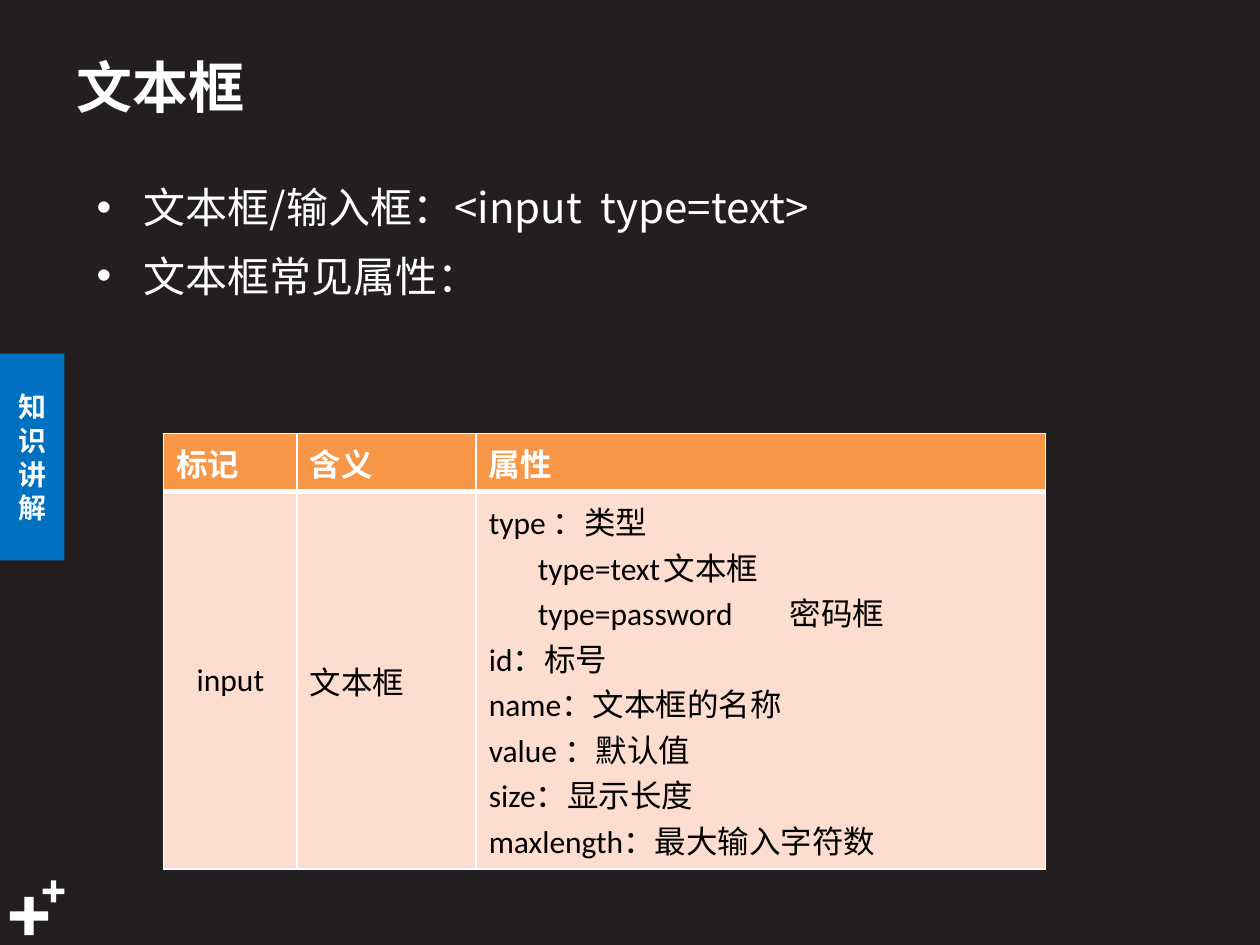
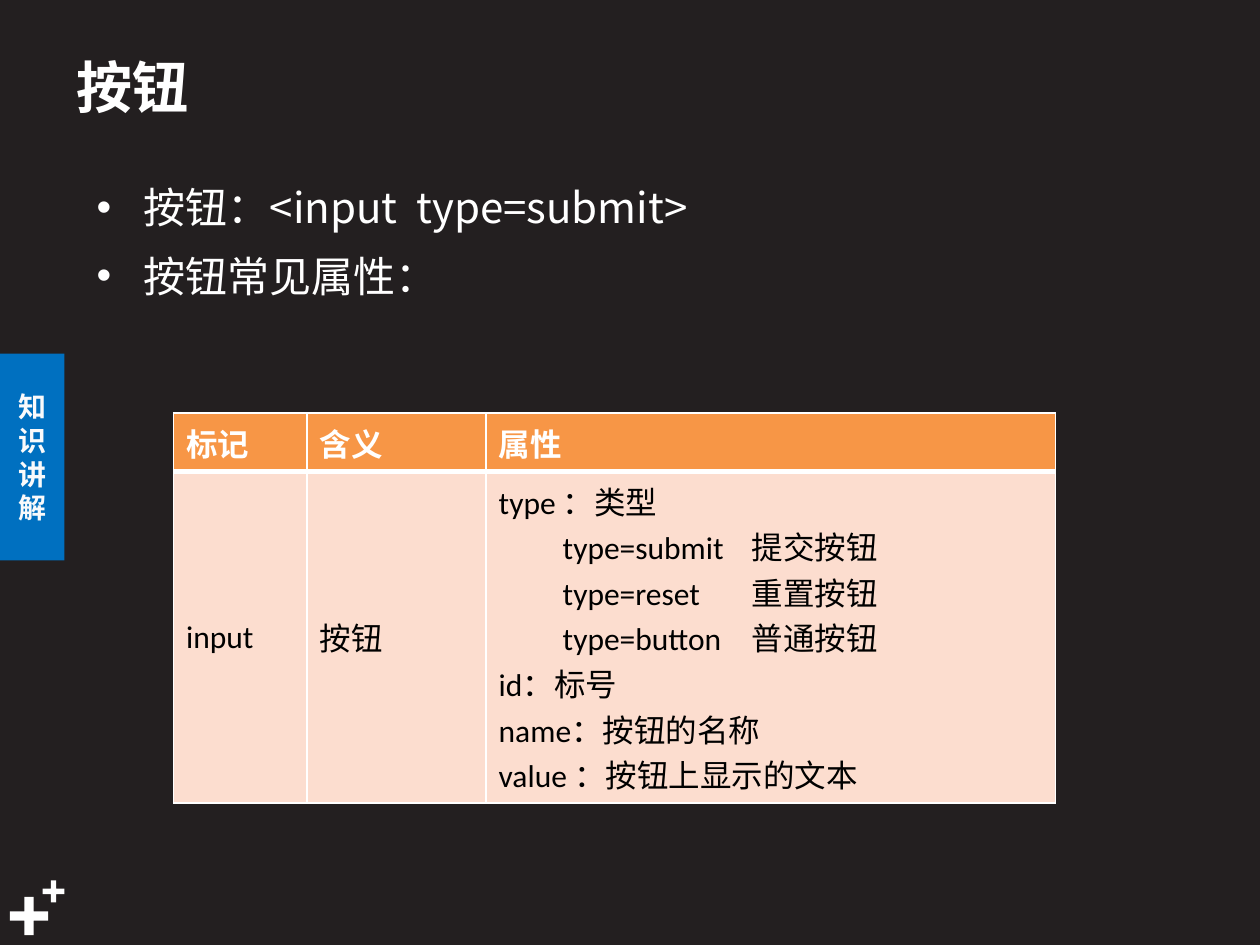
from dataclasses import dataclass

from lxml.etree import SubElement
from pptx import Presentation
from pptx.dml.color import RGBColor
from pptx.enum.shapes import MSO_SHAPE
from pptx.enum.text import MSO_ANCHOR, PP_ALIGN
from pptx.oxml.ns import qn
from pptx.util import Cm, Pt


@dataclass(frozen=True)
class Theme:
    background: str = "231F20"
    white: str = "FFFFFF"
    black: str = "000000"
    tab_fill: str = "0070C0"
    tab_text: str = "F9FAFB"
    header_fill: str = "F79646"
    cell_fill: str = "FCDDCF"
    font: str = "Noto Sans CJK SC"
    table_font: str = "Calibri"
    title_size: int = 32
    body_size: int = 24
    table_size: int = 18
    tab_size: int = 16


THEME = Theme()

SECTION = "知识讲解"
TABLE_HEADER = ["标记", "含义", "属性"]
# A value line is (code, label, tab position in cm); plain strings are attributes.
SLIDES = [
    {
        "title": "文本框",
        "bullets": ["文本框/输入框：<input  type=text>", "文本框常见属性："],
        "table_at": (3.3, 8.74),
        "tag_align": PP_ALIGN.CENTER,
        "meaning": "文本框",
        "value_indent": 0.99,
        "attributes": [
            "type ：类型",
            ("type=text", "文本框", 3.89),
            ("type=password", "密码框", 5.52),
            "id：标号",
            "name：文本框的名称",
            "value ：默认值",
            "size：显示长度",
            "maxlength：最大输入字符数",
        ],
    },
    {
        "title": "按钮",
        "bullets": ["按钮：<input  type=submit>", "按钮常见属性："],
        "table_at": (3.5, 8.33),
        "tag_align": PP_ALIGN.LEFT,
        "meaning": "按钮",
        "value_indent": 1.29,
        "attributes": [
            "type ：类型",
            ("type=submit", "提交按钮", 4.96),
            ("type=reset", "重置按钮", 4.33),
            ("type=button", "普通按钮", 4.8),
            "id：标号",
            "name：按钮的名称",
            "value ：按钮上显示的文本",
        ],
    },
]

PLUS_MARKS = [(0.2, 18.08, 0.77), (0.86, 17.75, 0.44)]  # left, top, size
COLUMN_WIDTHS = [2.69, 3.61, 11.48]
LINE_HEIGHT, CELL_PADDING = 0.92, 0.25
BULLET_INDENT = 0.95


def color(value):
    return RGBColor.from_string(value)


def style(paragraph, size, text_color, bold=False, font=THEME.font):
    paragraph.font.size = Pt(size)
    paragraph.font.bold = bold
    paragraph.font.color.rgb = color(text_color)
    paragraph.font.name = font
    defaults = paragraph._p.pPr.find(qn("a:defRPr"))
    SubElement(defaults, qn("a:ea"), typeface=THEME.font)


def set_indent(paragraph, left, first=0):
    properties = paragraph._p.get_or_add_pPr()
    properties.set("marL", str(Cm(left)))
    properties.set("indent", str(Cm(first)))
    return properties


def add_paragraphs(frame, count):
    return [frame.paragraphs[0]] + [frame.add_paragraph() for _ in range(count - 1)]


def add_filled_shape(slide, preset, box, fill):
    shape = slide.shapes.add_shape(preset, *map(Cm, box))
    shape.shadow.inherit = False
    shape.fill.solid()
    shape.fill.fore_color.rgb = color(fill)
    shape.line.fill.background()
    return shape


def add_frame(slide):
    """Draw what every slide shares: background, corner marks and section tab."""
    slide.background.fill.solid()
    slide.background.fill.fore_color.rgb = color(THEME.background)
    for left, top, size in PLUS_MARKS:
        mark = add_filled_shape(slide, MSO_SHAPE.CROSS, (left, top, size, size), THEME.white)
        mark.adjustments[0] = 0.378
    tab = add_filled_shape(slide, MSO_SHAPE.RECTANGLE, (0, 7.13, 1.3, 4.17), THEME.tab_fill)
    tab.text_frame.word_wrap = True
    tab.text_frame.vertical_anchor = MSO_ANCHOR.MIDDLE
    paragraph = tab.text_frame.paragraphs[0]
    paragraph.text = SECTION
    paragraph.alignment = PP_ALIGN.CENTER
    style(paragraph, THEME.tab_size, THEME.tab_text, bold=True)


def add_text_frame(slide, box):
    frame = slide.shapes.add_textbox(*map(Cm, box)).text_frame
    frame.word_wrap = True
    return frame


def add_title(slide, title):
    frame = add_text_frame(slide, (1.3, 0.74, 18.8, 1.98))
    frame.vertical_anchor = MSO_ANCHOR.MIDDLE
    frame.text = title
    style(frame.paragraphs[0], THEME.title_size, THEME.white, bold=True)


def add_bullets(slide, bullets):
    frame = add_text_frame(slide, (1.7, 3.33, 22.6, 2.92))
    for index, paragraph in enumerate(add_paragraphs(frame, len(bullets))):
        paragraph.text = bullets[index]
        paragraph.line_spacing = 1.2
        paragraph.space_before = Pt(4.8 if index else 0)
        properties = set_indent(paragraph, BULLET_INDENT, -BULLET_INDENT)
        SubElement(properties, qn("a:buFont"), typeface="Arial")
        SubElement(properties, qn("a:buChar"), char="•")
        style(paragraph, THEME.body_size, THEME.white)


def format_cell(cell, fill, bottom_width):
    properties = cell._tc.get_or_add_tcPr()
    for side in ("lnL", "lnR", "lnT", "lnB"):
        width = bottom_width if side == "lnB" else 1
        line = SubElement(properties, qn(f"a:{side}"), w=str(Pt(width)))
        SubElement(SubElement(line, qn("a:solidFill")), qn("a:srgbClr"), val=THEME.white)
    cell.fill.solid()
    cell.fill.fore_color.rgb = color(fill)


def write_attributes(frame, attributes, value_indent):
    for entry, paragraph in zip(attributes, add_paragraphs(frame, len(attributes))):
        if isinstance(entry, str):
            paragraph.text = entry
        else:
            code, label, tab_position = entry
            paragraph.text = f"{code}\t{label}"
            tabs = SubElement(set_indent(paragraph, value_indent), qn("a:tabLst"))
            SubElement(tabs, qn("a:tab"), pos=str(Cm(tab_position)), algn="l")


def add_attribute_table(slide, content):
    attributes = content["attributes"]
    heights = [lines * LINE_HEIGHT + CELL_PADDING for lines in (1, len(attributes))]
    box = (*content["table_at"], sum(COLUMN_WIDTHS), sum(heights))
    table = slide.shapes.add_table(2, len(COLUMN_WIDTHS), *map(Cm, box)).table
    for column, width in zip(table.columns, COLUMN_WIDTHS):
        column.width = Cm(width)
    for row, height in zip(table.rows, heights):
        row.height = Cm(height)

    for index, heading in enumerate(TABLE_HEADER):
        table.cell(0, index).text = heading
    tag, meaning, details = table.rows[1].cells
    tag.text = "input"
    tag.text_frame.paragraphs[0].alignment = content["tag_align"]
    meaning.text = content["meaning"]
    tag.vertical_anchor = meaning.vertical_anchor = MSO_ANCHOR.MIDDLE
    write_attributes(details.text_frame, attributes, content["value_indent"])

    row_styles = [(THEME.header_fill, THEME.white, True, 3), (THEME.cell_fill, THEME.black, False, 1)]
    for row, (fill, text_color, bold, bottom_width) in zip(table.rows, row_styles):
        for cell in row.cells:
            format_cell(cell, fill, bottom_width)
            for paragraph in cell.text_frame.paragraphs:
                style(paragraph, THEME.table_size, text_color, bold, THEME.table_font)


def main():
    presentation = Presentation()
    presentation.slide_width, presentation.slide_height = Cm(25.4), Cm(19.05)
    for content in SLIDES:
        slide = presentation.slides.add_slide(presentation.slide_layouts[6])
        add_frame(slide)
        add_title(slide, content["title"])
        add_bullets(slide, content["bullets"])
        add_attribute_table(slide, content)
    presentation.save("out.pptx")


if __name__ == "__main__":
    main()
